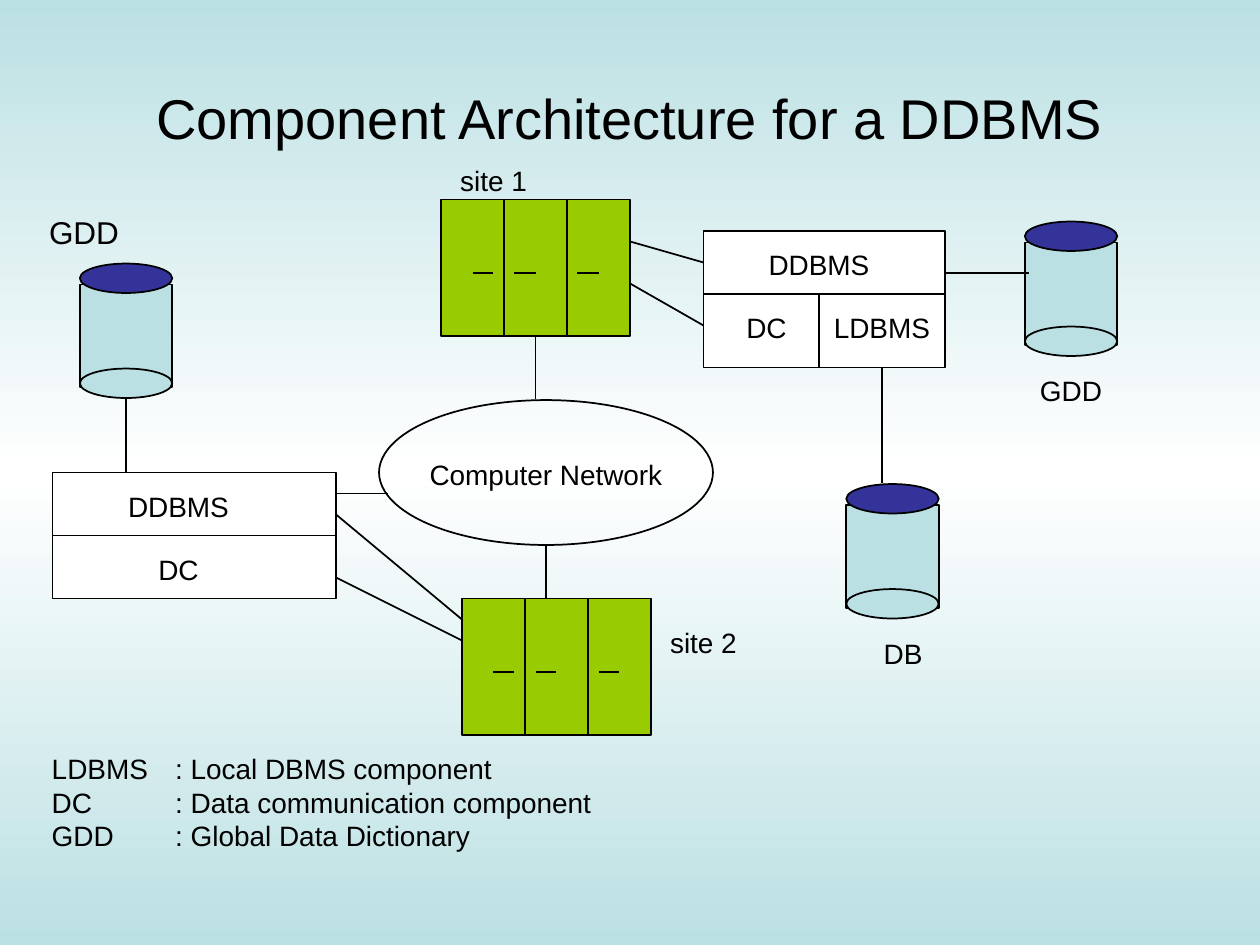
from copy import deepcopy

from lxml.etree import SubElement
from pptx import Presentation
from pptx.dml.color import RGBColor
from pptx.enum.shapes import MSO_CONNECTOR, MSO_SHAPE as Preset
from pptx.enum.text import MSO_ANCHOR as Anchor, MSO_AUTO_SIZE as AutoSize, PP_ALIGN as Align
from pptx.oxml.ns import qn
from pptx.util import Inches, Pt

BLACK = RGBColor(0x00, 0x00, 0x00)
WHITE = RGBColor(0xFF, 0xFF, 0xFF)
PALE_TEAL = RGBColor(0xBB, 0xE0, 0xE3)
NAVY = RGBColor(0x33, 0x33, 0x99)
LIME = RGBColor(0x99, 0xCC, 0x00)

COLUMNS, ROWS = 120, 90
CELL = Inches(10) // COLUMNS
LABEL_FRAME = {"word_wrap": False, "auto_size": AutoSize.SHAPE_TO_FIT_TEXT}
TITLE_FRAME = {"word_wrap": True, "vertical_anchor": Anchor.BOTTOM}

# Words, centre column, centre row, width in columns
LABELS = [
    ("DDBMS", 17, 48.2, 12), ("DC", 17, 54.2, 6.8),
    ("Computer Network", 52, 45.2, 24.8),
    ("DDBMS", 78, 25.2, 12), ("DC", 73, 31.2, 6.8), ("LDBMS", 84, 31.2, 11.8),
    ("site 1", 47, 17.2, 8.8), ("site 2", 67, 61.2, 8.8),
    ("DB", 86, 62.2, 6.8), ("GDD", 102, 37.2, 8.6),
]
LEGEND = [
    ("LDBMS", "Local DBMS component"),
    ("DC", "Data communication component"),
    ("GDD", "Global Data Dictionary"),
]
# Start column and row, end column and row
LINKS = [
    (12, 38, 12, 45), (84, 35, 84, 46), (32, 47, 37, 47),
    (32, 49, 44, 59), (32, 55, 44, 61), (52, 52, 52, 57),
    (60, 23, 67, 25), (60, 27, 67, 31), (90, 26, 98, 26),
]


def grid(*lengths):
    return [round(length * CELL) for length in lengths]


def apply(target, formats):
    for name, value in formats.items():
        setattr(target, name, value)


def paint_background(slide):
    fill = slide.background.fill
    fill.gradient()
    fill.gradient_angle = 270
    stops = slide.element.find(".//" + qn("a:gsLst"))
    stops.insert(1, deepcopy(stops[0]))
    for stop, (position, color) in zip(
            fill.gradient_stops, [(0, PALE_TEAL), (0.5, WHITE), (1, PALE_TEAL)]):
        stop.position = position
        stop.color.rgb = color


def add_block(shapes, preset, column, row, width, height, color=None):
    block = shapes.add_shape(preset, *grid(column, row, width, height))
    block.shadow.inherit = False
    if color is None:
        block.fill.background()
    else:
        block.fill.solid()
        block.fill.fore_color.rgb = color
    block.line.color.rgb = BLACK
    block.line.width = Pt(1)
    return block


def add_link(shapes, *ends):
    link = shapes.add_connector(MSO_CONNECTOR.STRAIGHT, *grid(*ends))
    link.line.color.rgb = BLACK
    link.line.width = Pt(1)
    SubElement(link.element.spPr, qn("a:effectLst"))
    return link


def add_text(slide, lines, column, row, width, height,
             size=16, align=Align.CENTER, frame_format=LABEL_FRAME):
    frame = slide.shapes.add_textbox(*grid(column, row, width, height)).text_frame
    apply(frame, frame_format)
    frame.text = "\n".join(lines)
    for paragraph in frame.paragraphs:
        paragraph.alignment = align
        for run in paragraph.runs:
            apply(run.font, {"name": "Arial", "size": Pt(size)})
            run.font.color.rgb = BLACK
    return frame


def add_label(slide, words, center, middle, width, size=16):
    height = 4.4 * size / 16
    add_text(slide, [words], center - width / 2, middle - height / 2, width, height, size)


def add_legend(slide):
    """Terms and meanings, lined up at one tab stop."""
    lines = [f"{term}\t: {meaning}" for term, meaning in LEGEND]
    frame = add_text(slide, lines, 3.75, 71, 54, 10.8, align=Align.LEFT)
    for paragraph in frame.paragraphs:
        tabs = SubElement(paragraph._p.get_or_add_pPr(), qn("a:tabLst"))
        SubElement(tabs, qn("a:tab"), pos=str(Inches(0.98)), algn="l")


def add_database(slide, column, row):
    """Cylinder whose lid has its top left at the given cell."""
    shapes = slide.shapes.add_group_shape().shapes
    add_block(shapes, Preset.RECTANGLE, column, row + 2, 8.8, 9.8, PALE_TEAL)
    for offset, color in [(0, NAVY), (10, PALE_TEAL)]:
        add_block(shapes, Preset.OVAL, column, row + offset, 8.8, 2.8, color)


def add_site(slide, column, row):
    """Three linked machines, each with a dash; returns the outer box."""
    shapes = slide.shapes.add_group_shape().shapes
    box = add_block(shapes, Preset.RECTANGLE, column, row, 18, 13, LIME)
    for divider in (6, 12):
        add_link(shapes, column + divider, row, column + divider, row + 13)
    for dash in (3, 7, 13):
        add_link(shapes, column + dash, row + 7, column + dash + 2, row + 7)
    return box


def main():
    deck = Presentation()
    apply(deck, {"slide_width": COLUMNS * CELL, "slide_height": ROWS * CELL})
    slide = deck.slides.add_slide(deck.slide_layouts[6])
    shapes = slide.shapes
    paint_background(slide)

    add_text(slide, ["Component Architecture for a DDBMS"], 6, 3.5, 108, 11.4,
             size=32, frame_format=TITLE_FRAME)

    for column, row in [(7.6, 25.1), (80.6, 46.1), (97.6, 21.1)]:
        add_database(slide, column, row)

    add_block(shapes, Preset.RECTANGLE, 5, 45, 27, 12, WHITE)
    add_link(shapes, 5, 51, 32, 51)
    add_block(shapes, Preset.RECTANGLE, 67, 22, 23, 13, WHITE)
    add_link(shapes, 67, 28, 90, 28)
    add_link(shapes, 78, 28, 78, 35)

    first_site = add_site(slide, 42, 19)
    add_site(slide, 44, 57)
    add_block(shapes, Preset.OVAL, 36.1, 38.1, 31.8, 13.8)

    for ends in LINKS:
        add_link(shapes, *ends)
    network_link = add_link(shapes, 51, 32, 51, 38)
    network_link.begin_connect(first_site, 2)

    add_label(slide, "GDD", 8, 22.2, 9.4, size=18)
    for label in LABELS:
        add_label(slide, *label)
    add_legend(slide)

    deck.save("out.pptx")


if __name__ == "__main__":
    main()
